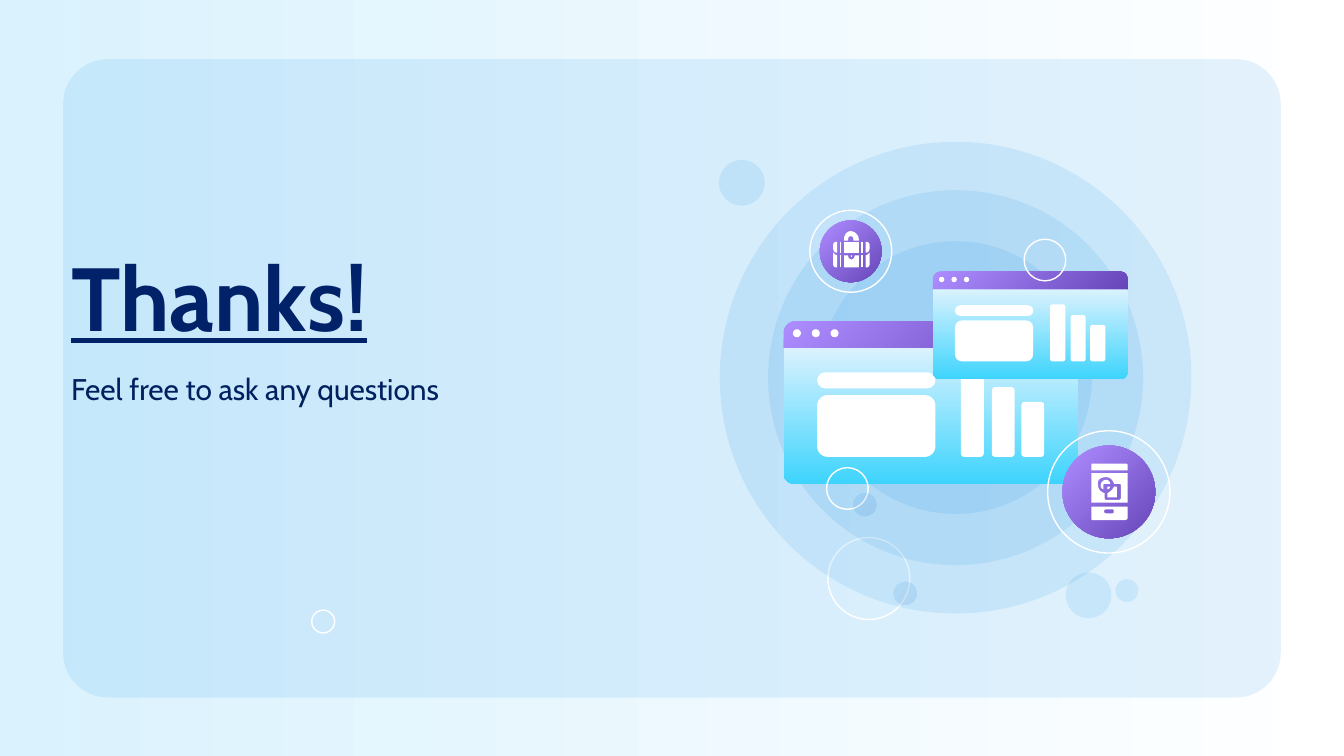
"""Build a closing slide with a title, a prompt and a browser-window illustration."""
from lxml.etree import SubElement
from pptx import Presentation
from pptx.dml.color import RGBColor
from pptx.enum.shapes import MSO_SHAPE
from pptx.enum.text import MSO_ANCHOR, PP_ALIGN
from pptx.oxml.ns import qn
from pptx.util import Inches, Pt

TITLE = ("Thanks!", 48, "012169", True)
PROMPT = ("Feel free to ask any questions", 16, "002060", False)
WHITE, BLUE = "FFFFFF", "0388E5"
PURPLE = ("AD8DFF", "6746B9", 45)
SKY = ("DAF2FE", "3ED4FD", 90)
DEEP = (BLUE, "0048A7", 45)
BACKDROP = (WHITE, "DAF2FE", 180)

LOWER_BUBBLES = [
    (7.93, 4.26, 0.34, BLUE), (2.32, 4.54, 0.17, None),
    (6.16, 4, 0.61, None), (6.65, 4.33, 0.17, DEEP),
]
UPPER_BUBBLES = [
    (6.15, 3.48, 0.31, None), (6.35, 3.67, 0.17, DEEP), (7.62, 1.78, 0.31, None),
    (5.35, 1.19, 0.34, BLUE), (8.3, 4.31, 0.17, BLUE),
]
HALO_CENTRE, HALO_SIZES = (7.11, 2.81), (3.51, 2.79, 2.03)
WINDOWS = [(5.83, 2.39, 2.19), (6.94, 2.02, 1.45)]
WINDOW_WIDTH = 2.19
WINDOW_PARTS = [(0.25, 0.38, 0.88, 0.12, 0.5), (0.25, 0.55, 0.88, 0.46, 0.17)]
BARS = [(1.32, 0.64), (1.55, 0.52), (1.77, 0.41)]
BAR_BASE = 1.01
BAG_BADGE = (6.33, 1.87, 0.61, 0.46)
PHONE_BADGE = (8.25, 3.66, 0.91, 0.69)

BAG_LEFT, BAG_RIGHT = 6.2, 6.47
BAG_SIDE = [
    [(6.23, 1.8), (6.22, 1.8), (6.21, 1.8, 6.2, 1.81, 6.2, 1.82), (6.2, 1.85),
     (6.2, 1.87, 6.21, 1.88, 6.23, 1.88)],
    [(6.2, 1.88), (6.2, 1.97), (6.2, 1.98, 6.21, 1.99, 6.22, 1.99), (6.23, 1.99),
     (6.23, 1.9), (6.22, 1.9, 6.21, 1.89, 6.2, 1.88)],
    [(6.25, 1.8), (6.25, 1.88), (6.26, 1.88), (6.26, 1.8)],
    [(6.25, 1.9), (6.25, 1.99), (6.26, 1.99), (6.26, 1.9)],
]
BAG_MIDDLE = [
    [(6.28, 1.8), (6.28, 1.88), (6.39, 1.88), (6.39, 1.8)],
    [(6.33, 1.9), (6.33, 1.92, 6.34, 1.92, 6.34, 1.9)],
    [(6.28, 1.9), (6.28, 1.99), (6.39, 1.99), (6.39, 1.9), (6.36, 1.9),
     (6.36, 1.94, 6.31, 1.94, 6.31, 1.9)],
    [(6.33, 1.72), (6.3, 1.72, 6.28, 1.75, 6.28, 1.78), (6.28, 1.79), (6.31, 1.79),
     (6.31, 1.78), (6.31, 1.75, 6.35, 1.75, 6.35, 1.78), (6.35, 1.79), (6.39, 1.79),
     (6.39, 1.78), (6.39, 1.75, 6.36, 1.72, 6.33, 1.72)],
]
PHONE = [
    [[(8.23, 3.57), (8.21, 3.57, 8.19, 3.59, 8.19, 3.61), (8.19, 3.63, 8.2, 3.64, 8.21, 3.64),
      (8.21, 3.61), (8.21, 3.6, 8.22, 3.6, 8.23, 3.6), (8.26, 3.6),
      (8.26, 3.58, 8.24, 3.57, 8.23, 3.57)]],
    [[(8.24, 3.62), (8.24, 3.64), (8.25, 3.64, 8.26, 3.63, 8.26, 3.62)]],
    [[(8.13, 3.45), (8.12, 3.45, 8.12, 3.45, 8.12, 3.46), (8.12, 3.5), (8.39, 3.5),
      (8.39, 3.46), (8.39, 3.45, 8.38, 3.45, 8.38, 3.45)]],
    [[(8.29, 3.62), (8.28, 3.64, 8.26, 3.66, 8.24, 3.67), (8.24, 3.7), (8.31, 3.7), (8.31, 3.62)]],
    [[(8.12, 3.52), (8.12, 3.74), (8.39, 3.74), (8.39, 3.52)],
     [(8.23, 3.55), (8.26, 3.55, 8.28, 3.57, 8.29, 3.6), (8.33, 3.6),
      (8.33, 3.6, 8.34, 3.6, 8.34, 3.61), (8.34, 3.71), (8.34, 3.71, 8.33, 3.72, 8.33, 3.72),
      (8.23, 3.72), (8.22, 3.72, 8.22, 3.71, 8.22, 3.71), (8.22, 3.67),
      (8.19, 3.66, 8.17, 3.64, 8.17, 3.61), (8.16, 3.57, 8.19, 3.55, 8.23, 3.55)]],
    [[(8.12, 3.77), (8.12, 3.86), (8.12, 3.86, 8.12, 3.87, 8.13, 3.87), (8.37, 3.87),
      (8.38, 3.87, 8.39, 3.86, 8.39, 3.86), (8.39, 3.77)],
     [(8.28, 3.79), (8.29, 3.79, 8.29, 3.82, 8.28, 3.82), (8.23, 3.82),
      (8.21, 3.82, 8.21, 3.79, 8.23, 3.79)]],
]


def colour(value):
    return RGBColor.from_string(value)


def paint(fill, value):
    if isinstance(value, str):
        fill.solid()
        fill.fore_color.rgb = colour(value)
        return
    fill.gradient()
    fill.gradient_angle = 360 - value[2]
    for stop, position, shade in zip(fill.gradient_stops, (0, 1), value):
        stop.position = position
        stop.color.rgb = colour(shade)


def dress(shape, value, alpha=None):
    shape.shadow.inherit = False
    if value is None:
        shape.fill.background()
        shape.line.color.rgb = colour(WHITE)
        shape.line.width = Pt(0.75)
        return
    paint(shape.fill, value)
    shape.line.fill.background()
    if alpha:
        for shade in shape.element.spPr.iter(qn("a:srgbClr")):
            SubElement(shade, qn("a:alpha")).set("val", str(alpha * 1000))


def add_preset(page, kind, place, value, rounding=(), alpha=None):
    shape = page.shapes.add_shape(kind, *map(Inches, place))
    for index, amount in enumerate(rounding):
        shape.adjustments[index] = amount
    dress(shape, value, alpha)
    return shape


def add_circle(page, left, top, size, value, alpha=None):
    add_preset(page, MSO_SHAPE.OVAL, (left, top, size, size), value, alpha=alpha)


def trace(steps, count=6):
    """Turn points and Bézier steps into a list of points."""
    points = []
    for step in steps:
        if len(step) == 2:
            points.append(step)
            continue
        ends = points[-1] + step
        for t in (n / count for n in range(1, count + 1)):
            weights = ((1 - t) ** 3, 3 * t * (1 - t) ** 2, 3 * t * t * (1 - t), t ** 3)
            points.append(tuple(sum(w * v for w, v in zip(weights, ends[axis::2])) for axis in (0, 1)))
    return [(Inches(x), Inches(y)) for x, y in points]


def add_outline(page, contours):
    first, *others = map(trace, contours)
    builder = page.shapes.build_freeform(*first[0])
    builder.add_line_segments(first[1:], close=True)
    for points in others:
        builder.move_to(*points[0])
        builder.add_line_segments(points[1:], close=True)
    dress(builder.convert_to_shape(), WHITE)


def mirror(steps):
    return [tuple(v if i % 2 else BAG_LEFT + BAG_RIGHT - v for i, v in enumerate(step)) for step in steps]


def add_badge(page, badge, icon):
    x, y, ring, disc = badge
    for size, value in ((ring, None), (disc, PURPLE)):
        add_circle(page, x - size / 2, y - size / 2, size, value)
    for contours in icon:
        add_outline(page, contours)


def add_window(page, left, top, width):
    scale = width / WINDOW_WIDTH

    def part(kind, x, y, wide, high, value, *rounding):
        place = (left + x * scale, top + y * scale, wide * scale, high * scale)
        add_preset(page, kind, place, value, rounding)

    part(MSO_SHAPE.ROUND_2_SAME_RECTANGLE, 0, 0, WINDOW_WIDTH, 0.2, PURPLE, 0.42, 0)
    part(MSO_SHAPE.ROUND_2_SAME_RECTANGLE, 0, 0.2, WINDOW_WIDTH, 1.01, SKY, 0, 0.08)
    for index in range(3):
        part(MSO_SHAPE.OVAL, 0.07 + 0.14 * index, 0.06, 0.06, 0.06, WHITE)
    for x, high in BARS:
        part(MSO_SHAPE.ROUNDED_RECTANGLE, x, BAR_BASE - high, 0.17, high, WHITE, 0.15)
    for x, y, wide, high, rounding in WINDOW_PARTS:
        part(MSO_SHAPE.ROUNDED_RECTANGLE, x, y, wide, high, WHITE, rounding)


def write(box, content, underline=None):
    text, size, shade, bold = content
    box.text_frame.word_wrap = True
    box.text_frame.vertical_anchor = MSO_ANCHOR.TOP
    para = box.text_frame.paragraphs[0]
    para.alignment = PP_ALIGN.LEFT
    span = para.add_run()
    span.text = text
    span.font.name, span.font.size = "Cabin", Pt(size)
    span.font.bold, span.font.underline = bold, underline
    span.font.color.rgb = colour(shade)


def main():
    deck = Presentation()
    deck.slide_width = Inches(10)
    deck.slide_height = deck.slide_width * 9 // 16
    page = deck.slides.add_slide(deck.slide_layouts[5])
    paint(page.background.fill, BACKDROP)
    title = page.shapes.title
    title.left, title.top, title.width, title.height = map(Inches, (0.43, 1.7, 3.2, 0.86))
    frame = title.text_frame
    frame.margin_left = frame.margin_right = frame.margin_top = frame.margin_bottom = Inches(0.1)
    write(title, TITLE, underline=True)
    panel = add_preset(page, MSO_SHAPE.ROUNDED_RECTANGLE, (0.47, 0.44, 9.06, 4.75), BLUE, (0.07,), 10)
    title.element.addprevious(panel.element)

    for bubble in LOWER_BUBBLES:
        add_circle(page, *bubble, alpha=10)
    for size in HALO_SIZES:
        add_circle(page, *(middle - size / 2 for middle in HALO_CENTRE), size, BLUE, 10)
    bag = BAG_SIDE + [mirror(steps) for steps in BAG_SIDE] + BAG_MIDDLE
    add_badge(page, BAG_BADGE, [[steps] for steps in bag])
    for window in WINDOWS:
        add_window(page, *window)
    add_badge(page, PHONE_BADGE, PHONE)
    for bubble in UPPER_BUBBLES:
        add_circle(page, *bubble, alpha=10)
    write(page.shapes.add_textbox(*map(Inches, (0.43, 2.71, 3.48, 0.37))), PROMPT)
    deck.save("out.pptx")


if __name__ == "__main__":
    main()
